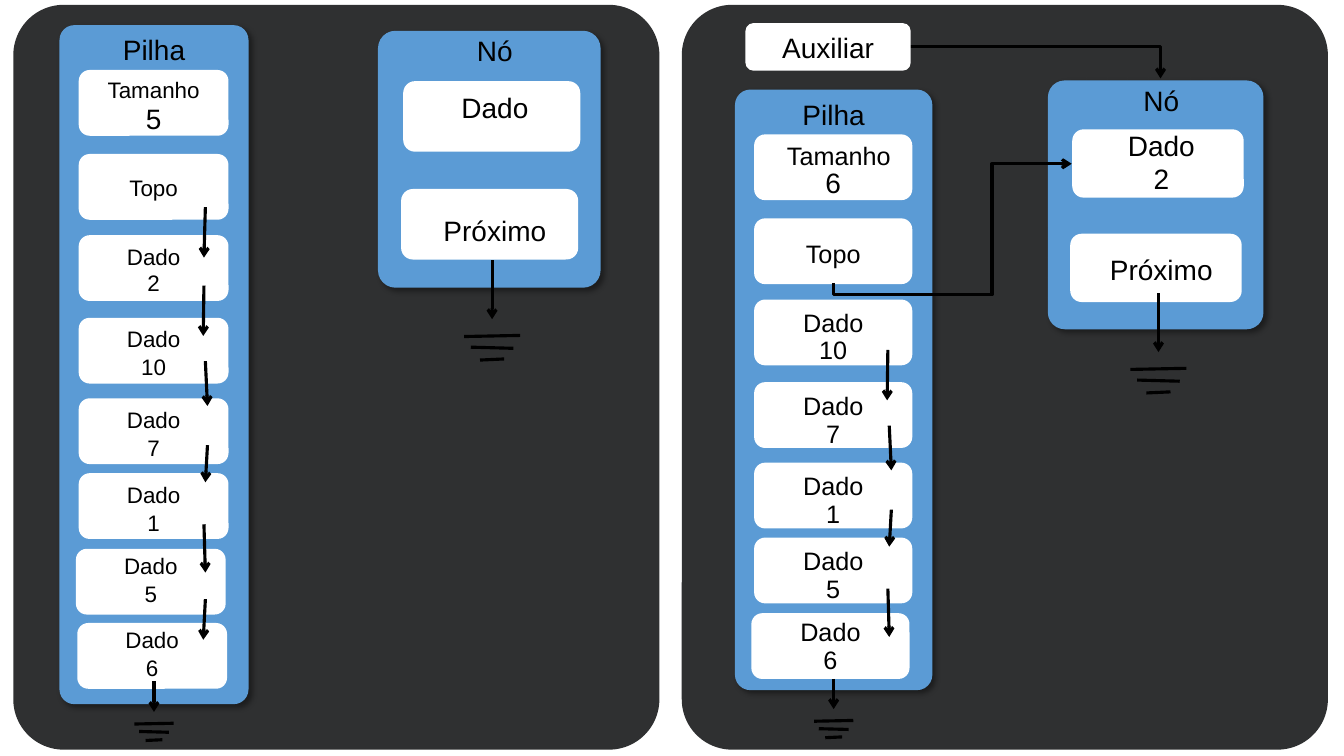
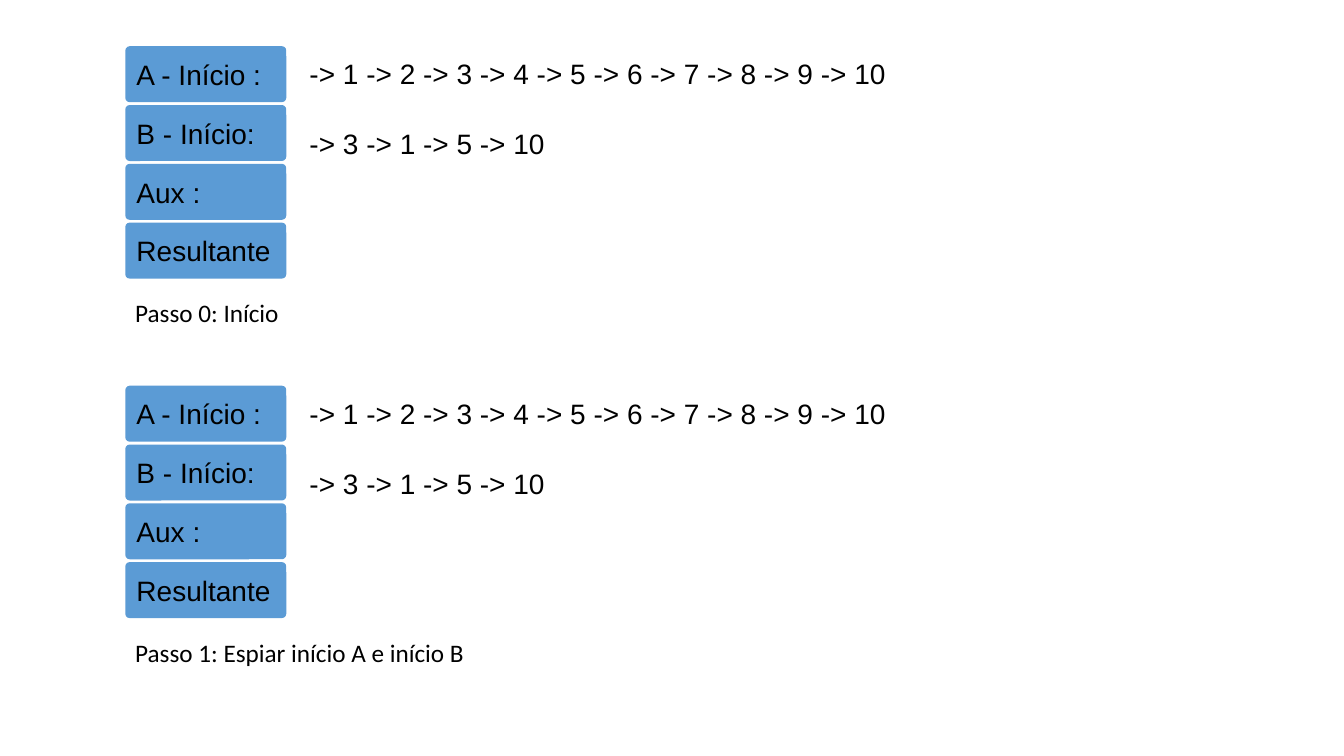
from lxml.etree import SubElement as Sub
from pptx import Presentation
from pptx.dml.color import RGBColor as RGB
from pptx.enum.shapes import MSO_CONNECTOR as Wire, MSO_SHAPE as Form
from pptx.enum.text import MSO_ANCHOR as Anchor, PP_ALIGN as Align
from pptx.oxml.ns import qn
from pptx.util import Pt

HUE = {"panel": "2F3031", "blue": "5B9BD5", "white": "FFFFFF", "ink": "000000"}
SOFT = 0.078
CELL_H = 47

# Per stack slot: cell shift, cell top, label drop, value drop
SLOTS = [
    (0, 32, 1, 19),
    (0, 92, 11, 0),
    (0, 150, 2, 21),
    (0, 209, 2, 22),
    (0, 266.5, 2, 22),
    (0, 320, 2, 22),
    (-2, 374, -1.5, 19),
    (-1, 427, -1, 19),
]
# Arrow leaving each slot: x1, y1, x2, y2 from the cell's right edge and stack top
LINKS = {
    1: (0, 130, -1, 166),
    2: (-1, 186, -1.5, 222),
    3: (0, 240, 1.5, 272),
    4: (1.5, 300, 0, 326.5),
    5: (-1, 356.5, 0, 391),
    6: (0, 410, -1.5, 439),
}


def write(frame, text, size=20, font="Arial", align=Align.CENTER):
    frame.word_wrap = True
    para = frame.paragraphs[0]
    para.alignment = align
    run = para.add_run()
    run.text = text
    run.font.size = Pt(size)
    run.font.name = font
    run.font.color.rgb = RGB.from_string(HUE["ink"])


def label(slide, x, y, w, text, size=20, **form):
    box = slide.shapes.add_textbox(Pt(x), Pt(y), Pt(w), Pt(size * 1.2 + 7.2))
    write(box.text_frame, text, size=size, **form)


def block(slide, x, y, w, h, hue, curve=None, shade=False, text=None, **form):
    """Rounded box, with optional soft shadow and text."""
    box = slide.shapes.add_shape(Form.ROUNDED_RECTANGLE, Pt(x), Pt(y), Pt(w), Pt(h))
    box.fill.solid()
    box.fill.fore_color.rgb = RGB.from_string(HUE[hue])
    box.line.fill.background()
    box.shadow.inherit = False
    if curve:
        box.adjustments[0] = curve
    if shade:
        fx = box._element.spPr.find(qn("a:effectLst"))
        cast = Sub(fx, qn("a:outerShdw"), blurRad=str(Pt(4)), dist=str(Pt(3)),
                   dir="2700000", algn="tl", rotWithShape="0")
        tone = Sub(cast, qn("a:srgbClr"), val=HUE["ink"])
        Sub(tone, qn("a:alpha"), val="40000")
    if text:
        box.text_frame.vertical_anchor = Anchor.MIDDLE
        write(box.text_frame, text, **form)


def link(slide, x1, y1, x2, y2, kind=Wire.STRAIGHT, head=True):
    line = slide.shapes.add_connector(kind, Pt(x1), Pt(y1), Pt(x2), Pt(y2))
    line.line.width = Pt(2.25)
    line.line.color.rgb = RGB.from_string(HUE["ink"])
    if head:
        Sub(line.line._get_or_add_ln(), qn("a:tailEnd"), type="arrow")
    Sub(line._element.spPr, qn("a:effectLst"))
    return line


def bend(slide, x, y, w, h, kind, adjust=(), turn=None):
    """Elbow arrow of a given preset, with its bends and rotation."""
    prop = link(slide, x, y, x + w, y + h, Wire.ELBOW)._element.spPr
    geom = prop.find(qn("a:prstGeom"))
    geom.set("prst", kind)
    guides = geom.find(qn("a:avLst"))
    if guides is None:
        guides = Sub(geom, qn("a:avLst"))
    for i, part in enumerate(adjust, 1):
        Sub(guides, qn("a:gd"), name=f"adj{i}", fmla=f"val {round(part * 100000)}")
    for key, value in (turn or {}).items():
        prop.find(qn("a:xfrm")).set(key, value)


def drop(slide, x, y, end, w):
    """Arrow down to a ground sign of width w."""
    link(slide, x, y, x, end)
    for i, (part, tilt) in enumerate([(1, -0.01), (0.76, 0.01), (0.43, -0.01)]):
        half, mid = w * part / 2, end + w * (0.3 + 0.21 * i)
        link(slide, x - half, mid - w * tilt, x + half, mid + w * tilt, head=False)


def stack(slide, x, y, w, h, count, items, size, skip=(), nudge=0, tail=(0, 0)):
    """Stack of cells; tail gives the last arrow's ends from the box bottom."""
    block(slide, x, y, w, h, "blue", SOFT, shade=True)
    label(slide, x, y + 2, w, "Pilha")
    wide = w - 28
    rows = [("Tamanho", count), ("Topo", None)] + [("Dado", item) for item in items]
    for i, ((name, value), (dx, top, name_y, val_y)) in enumerate(zip(rows, SLOTS)):
        left, cell = x + 13.7 + dx, y + top
        block(slide, left, cell, wide, CELL_H, "white")
        label(slide, left + (0 if i else nudge), cell + name_y, wide, name, size=size)
        if value:
            label(slide, left, cell + val_y, wide, value, size=size if i else 20)
    edge = x + 13.7 + wide - 16.5
    for i in range(1, len(rows) - 1):
        if i not in skip:
            x1, y1, x2, y2 = LINKS[i]
            link(slide, edge + x1, y + y1, edge + x2, y + y2)
    start, end = (y + h + part for part in tail)
    drop(slide, x + w / 2, start, end, 28)


def node(slide, x, y, w, data_y, next_y, start, value=None):
    k = w / 159
    block(slide, x, y, w, 183.5 * k, "blue", SOFT, shade=True)
    for dx, dy in ((18, 36), (16.5, 113)):
        block(slide, x + dx * k, y + dy * k, 126.5 * k, 50.4 * k, "white")
    for text, dy in (("Nó", -1.5), ("Dado", data_y), ("Próximo", next_y), (value, 54)):
        if text:
            label(slide, x + 4, y + dy, w, text)
    drop(slide, x + w / 2 + 2, y + start, y + start + 42, 40)


def before(slide, x, y, w, h):
    block(slide, x, y, w, h, "panel", SOFT)
    stack(slide, x + 33, y + 14.5, 135, 485, "5", ["2", "10", "7", "1", "5", "6"],
          16, tail=(-16.5, 5.5))
    node(slide, x + 260.5, y + 18.5, 159, 39, 127, 164)


def after(slide, x, y, w, h):
    block(slide, x, y, w, h, "panel", SOFT)
    stack(slide, x + 38, y + 60.5, 141, 429, "6", ["10", "7", "1", "5", "6"],
          18, skip=(1,), nudge=4, tail=(-8, 13.5))
    node(slide, x + 261.5, y + 54, 154, 31, 119, 152, value="2")
    bend(slide, x + 151, y + 71, 85, 170, "bentConnector4", (-0.1, 0.665),
         {"rot": "5400000", "flipH": "1", "flipV": "1"})
    bend(slide, x + 162.5, y + 30, 179.5, 22.5, "bentConnector2")
    block(slide, x + 45.5, y + 13, 118, 34, "white", text="Auxiliar")


def step(slide, x, y, note):
    names = ["A - Início :", "B - Início:", "Aux :", "Resultante"]
    for i, name in enumerate(names):
        block(slide, x, y + 42 * i, 115, 40, "blue", SOFT, text=name, align=Align.LEFT)
    lists = [range(1, 11), (3, 1, 5, 10)]
    for i, items in enumerate(lists):
        text = " ".join(f"-> {item}" for item in items)
        label(slide, x + 124.5, y + 4 + 50 * i, 435, text, align=Align.LEFT)
    label(slide, x, y + 176, 302, note, size=18, font="Calibri", align=Align.LEFT)


def main():
    deck = Presentation()
    deck.slide_width, deck.slide_height = Pt(960), Pt(540)
    push, steps = (deck.slides.add_slide(deck.slide_layouts[6]) for _ in range(2))
    before(push, 9.5, 3.5, 461.5, 532)
    after(push, 487, 3.5, 461.5, 532)
    for i, note in enumerate(["Início", "Espiar início A e início B"]):
        step(steps, 89.5, 33 + 242.5 * i, f"Passo {i}: {note}")
    deck.save("out.pptx")


if __name__ == "__main__":
    main()
